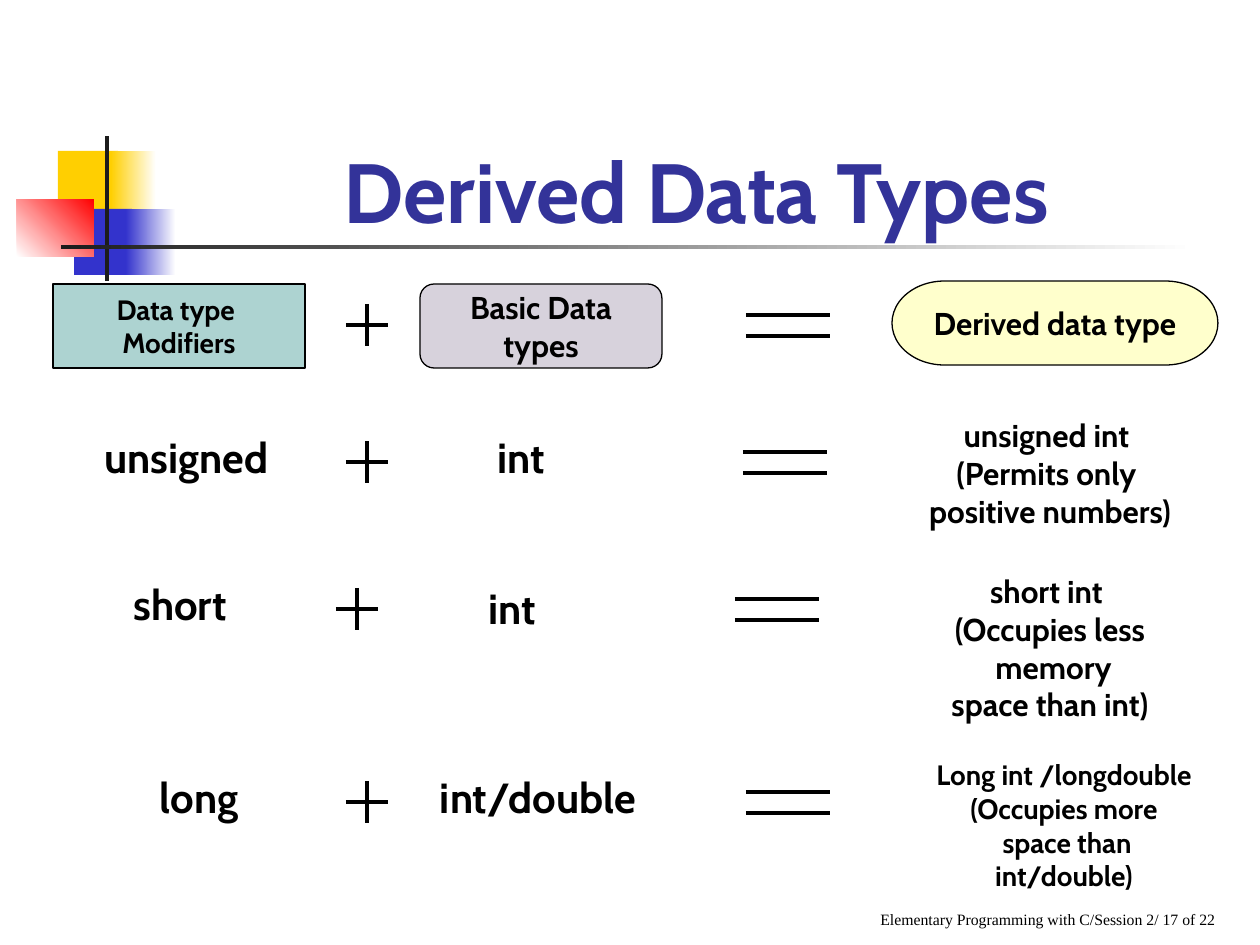
from dataclasses import dataclass
from typing import Optional

from lxml import etree
from pptx import Presentation
from pptx import util as u
from pptx.dml import color
from pptx.enum import shapes, text
from pptx.oxml import ns

SCALE = 914400 / 126
KIND = shapes.MSO_SHAPE
ALIGN = text.PP_ALIGN
ANCHOR = text.MSO_ANCHOR


@dataclass(frozen=True)
class Theme:
    font: str = "Cabin"
    serif: str = "Times New Roman"
    ink: str = "000000"
    title: str = "333399"
    gold: str = "FFCF01"
    blue: str = "3333CC"
    red: str = "FF0000"
    dark: str = "1C1C1C"
    white: str = "FFFFFF"
    teal: str = "ADD3D1"
    mauve: str = "D7D2DC"
    cream: str = "FFFFCC"
    head: int = 48
    term: int = 24
    body: int = 18
    small: int = 16
    foot: int = 9
    edge: float = 0.75
    stroke: float = 2.25


T = Theme()


@dataclass(frozen=True)
class Box:
    x: int
    y: int
    w: int
    h: int


@dataclass(frozen=True)
class Label:
    box: Box
    lines: tuple[str, ...]
    size: int = T.term
    wrap: bool = False
    font: str = T.font
    ink: str = T.ink
    bold: bool = True
    align: ALIGN = ALIGN.CENTER
    anchor: ANCHOR = ANCHOR.TOP
    pad: tuple[int, int] = (13, 6)


@dataclass(frozen=True)
class Block:
    box: Box
    start: str
    end: Optional[str] = None
    angle: int = 0


@dataclass(frozen=True)
class Card:
    kind: KIND
    fill: str
    label: Label


@dataclass(frozen=True)
class Row:
    plus: int
    equal: int
    mid: int
    labels: tuple[Label, ...] = ()


BLOCKS = (
    Block(Box(58, 151, 60, 66), T.gold),
    Block(Box(111, 151, 45, 66), T.gold, T.white),
    Block(Box(74, 209, 58, 66), T.blue),
    Block(Box(126, 209, 50, 66), T.blue, T.white),
    Block(Box(17, 199, 77, 58), T.white, T.red, 45),
    Block(Box(105, 136, 4, 145), T.dark),
    Block(Box(61, 245, 1134, 4), T.dark, T.white),
)

CARDS = (
    Card(KIND.FLOWCHART_TERMINATOR, T.cream,
         Label(Box(892, 281, 326, 84), ("Derived data type",), T.body)),
    Card(KIND.ROUNDED_RECTANGLE, T.mauve,
         Label(Box(420, 284, 242, 84), ("Basic Data", " types "), T.body)),
    Card(KIND.RECTANGLE, T.teal,
         Label(Box(53, 284, 252, 84), ("Data type ", "Modifiers"), T.small)),
)

ROWS = (
    Row(367, 746, 325),
    Row(367, 743, 462, (
        Label(Box(77, 426, 219, 63), ("unsigned",)),
        Label(Box(478, 426, 95, 63), ("int ",)),
        Label(Box(882, 410, 336, 126),
              ("unsigned int ", "(Permits only ", "positive numbers)"),
              T.body, True))),
    Row(357, 735, 609, (
        Label(Box(112, 573, 136, 63), ("short",)),
        Label(Box(462, 577, 101, 63), ("int",), wrap=True),
        Label(Box(920, 566, 260, 164),
              ("short int ", "(Occupies less", " memory", "space than int)"),
              T.body))),
    Row(367, 746, 802, (
        Label(Box(140, 766, 118, 63), ("long",)),
        Label(Box(415, 766, 246, 63), ("int/double",)),
        Label(Box(905, 752, 318, 147),
              ("Long int /longdouble", "(Occupies more", " space than",
               "int/double)"), T.small))),
)

TITLE = Label(Box(159, 84, 1074, 158), ("Derived Data Types",), T.head, True,
              ink=T.title, anchor=ANCHOR.BOTTOM, pad=(0, 2))
FOOTER = Label(Box(462, 872, 766, 63),
               ("Elementary Programming with C/Session 2/ 17 of 22",),
               T.foot, True, T.serif, bold=False, align=ALIGN.RIGHT,
               anchor=ANCHOR.BOTTOM)


def px(n: int) -> int:
    return round(n * SCALE)


def place(box: Box) -> tuple[int, ...]:
    return tuple(px(n) for n in (box.x, box.y, box.w, box.h))


def rgb(code: str) -> color.RGBColor:
    return color.RGBColor.from_string(code)


def write(shape, label: Label) -> None:
    frame = shape.text_frame
    frame.word_wrap = label.wrap
    frame.vertical_anchor = label.anchor
    frame.margin_left = frame.margin_right = px(label.pad[0])
    frame.margin_top = frame.margin_bottom = px(label.pad[1])
    for i, line in enumerate(label.lines):
        para = frame.add_paragraph() if i else frame.paragraphs[0]
        para.text = line
        para.alignment = label.align
        para.font.name = label.font
        para.font.size = u.Pt(label.size)
        para.font.bold = label.bold
        para.font.color.rgb = rgb(label.ink)


def draw_text(tree, label: Label) -> None:
    write(tree.add_textbox(*place(label.box)), label)


def draw_block(tree, block: Block) -> None:
    shape = tree.add_shape(KIND.RECTANGLE, *place(block.box))
    shape.shadow.inherit = False
    shape.line.fill.background()
    if block.end is None:
        shape.fill.solid()
        shape.fill.fore_color.rgb = rgb(block.start)
        return
    shape.fill.gradient()
    shape.fill.gradient_angle = block.angle
    for stop, code in zip(shape.fill.gradient_stops, (block.start, block.end)):
        stop.color.rgb = rgb(code)


def draw_card(tree, card: Card) -> None:
    shape = tree.add_shape(card.kind, *place(card.label.box))
    shape.shadow.inherit = False
    shape.fill.solid()
    shape.fill.fore_color.rgb = rgb(card.fill)
    shape.line.color.rgb = rgb(T.ink)
    shape.line.width = u.Pt(T.edge)
    write(shape, card.label)
    shape.text_frame.vertical_anchor = ANCHOR.MIDDLE


def draw_line(tree, *ends: int) -> None:
    line = tree.add_connector(shapes.MSO_CONNECTOR.STRAIGHT, *map(px, ends))
    line.line.color.rgb = rgb(T.ink)
    line.line.width = u.Pt(T.stroke)
    etree.SubElement(line._element.spPr, ns.qn("a:effectLst"))


def draw_row(tree, row: Row) -> None:
    group = tree.add_group_shape().shapes
    x, y = row.plus, row.mid
    draw_line(group, x, y - 21, x, y + 21)
    draw_line(group, x - 21, y, x + 21, y)
    for bar in (y - 10, y + 11):
        draw_line(group, row.equal, bar, row.equal + 84, bar)
    for label in row.labels:
        draw_text(group, label)


def main() -> None:
    deck = Presentation()
    deck.slide_width, deck.slide_height = px(1260), px(945)
    tree = deck.slides.add_slide(deck.slide_layouts[6]).shapes
    for block in BLOCKS:
        draw_block(tree, block)
    draw_text(tree, FOOTER)
    draw_text(tree, TITLE)
    for card in CARDS:
        draw_card(tree, card)
    for row in ROWS:
        draw_row(tree, row)
    deck.save("out.pptx")


if __name__ == "__main__":
    main()
